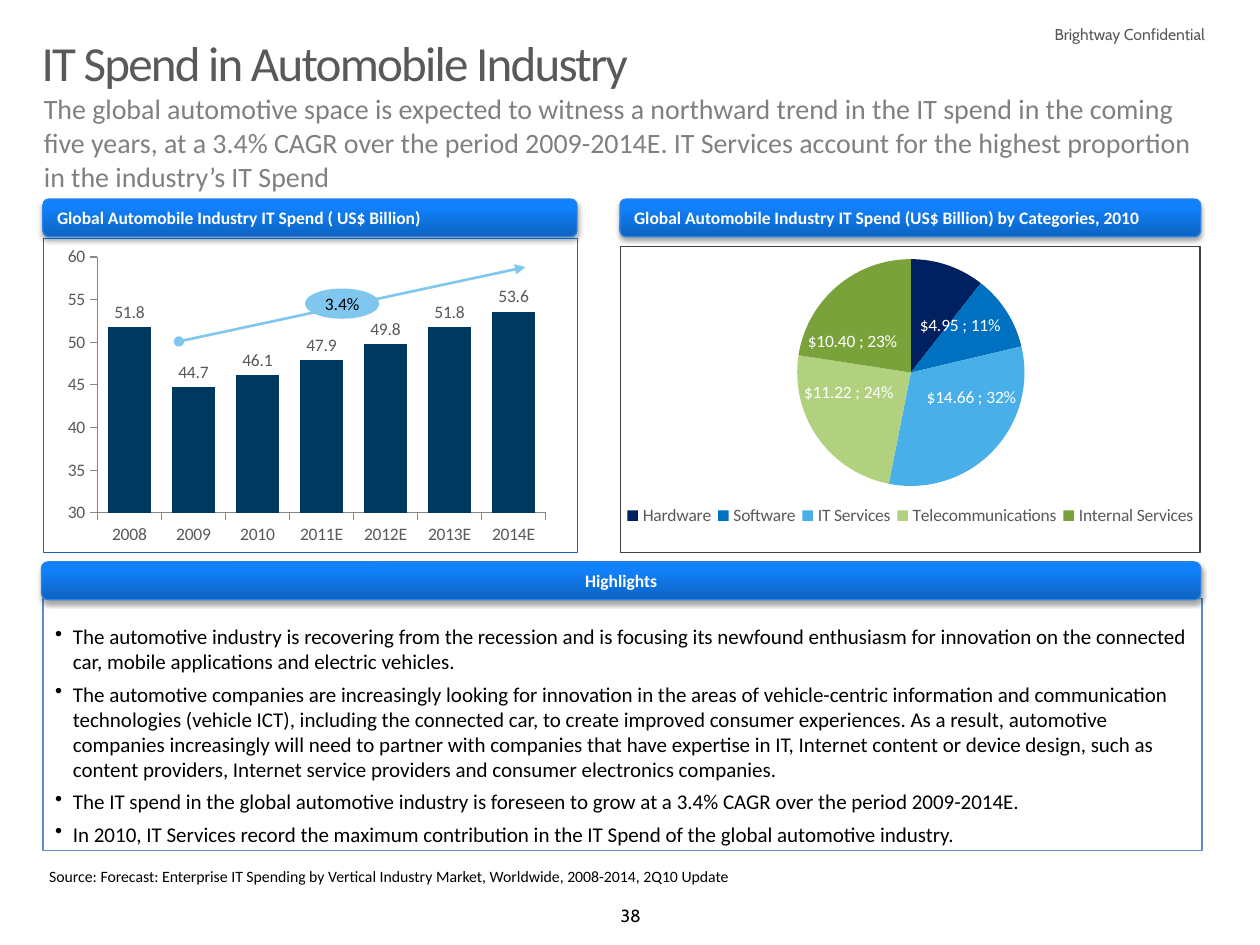
from copy import deepcopy
from pptx import Presentation, util as u
from pptx.chart.data import CategoryChartData
from pptx.dml.color import RGBColor
from pptx.enum import chart as ch, shapes as sh, text as tx
from pptx.oxml import parse_xml
from pptx.oxml.ns import qn

NS = 'xmlns:a="http://schemas.openxmlformats.org/drawingml/2006/main"'
CNS = 'xmlns:c="http://schemas.openxmlformats.org/drawingml/2006/chart"'
SHADE = (f'<a:effectLst {NS}><a:outerShdw blurRad="39370" dist="22860" dir="5400000" '
         'rotWithShape="0"><a:srgbClr val="000000"><a:alpha val="35000"/></a:srgbClr>'
         '</a:outerShdw></a:effectLst>')
LAYOUT = ('<c:layout {}><c:manualLayout>{}<c:xMode val="edge"/><c:yMode val="edge"/>'
          '<c:x val="{}"/><c:y val="{}"/><c:w val="{}"/><c:h val="{}"/>'
          '</c:manualLayout></c:layout>')
hue = RGBColor.from_string
ALIGN = {"l": tx.PP_ALIGN.LEFT, "c": tx.PP_ALIGN.CENTER, "r": tx.PP_ALIGN.RIGHT}

deck = Presentation()
deck.slide_width, deck.slide_height = u.Inches(10), u.Inches(7.5)
slide = deck.slides.add_slide(deck.slide_layouts[6])
parts = slide.shapes


def grid(*cells):
    """Turn columns and rows (100 by 75 on the slide) into lengths."""
    return [int(deck.slide_width * cell / 100) for cell in cells]


def write(shape, lines, size, tint, align="l", font="Calibri", bold=False, inset=(1, .5, 1, .5),
          mid=False, wrap=True, **para):
    frame = shape.text_frame
    frame.word_wrap = wrap
    frame.vertical_anchor = tx.MSO_ANCHOR.MIDDLE if mid else tx.MSO_ANCHOR.TOP
    for side, gap in zip(("left", "top", "right", "bottom"), grid(*inset)):
        setattr(frame, f"margin_{side}", gap)
    frame.text = "\n".join(lines)
    for line in frame.paragraphs:
        line.alignment = ALIGN[align]
        for name, value in para.items():
            setattr(line, name, value)
        face = line.runs[0].font
        face.size, face.name, face.bold = u.Pt(size), font, bold
        face.color.rgb = hue(tint)
    return frame


# Plain text
none = (0, 0, 0, 0)
texts = [
    ((47.5, 71.3, 5.1, 2.7), "38", dict(size=10, tint="000000", align="c", font="Cabin")),
    ((75, 1.5, 21.6, 2.5), "Brightway Confidential",
     dict(size=9, tint="595959", align="r", font="Cabin")),
    ((3.9, 68.8, 77.9, 1.4), "Source: Forecast: Enterprise IT Spending by Vertical Industry "
     "Market, Worldwide, 2008-2014, 2Q10 Update", dict(size=9, tint="000000", inset=none)),
    ((2.5, 6.8, 95, 9.1), "The global automotive space is expected to witness a northward trend "
     "in the IT spend in the coming five years, at a 3.4% CAGR over the period 2009-2014E. IT "
     "Services account for the highest proportion in the industry’s IT Spend",
     dict(size=16, tint="808080", space_before=u.Pt(6))),
    ((3.3, 3.1, 95, 3.3), "IT Spend in Automobile Industry",
     dict(size=28, tint="595959", inset=none, line_spacing=.9)),
]
for cells, words, form in texts:
    frame = write(parts.add_textbox(*grid(*cells)), [words], **form)
frame.paragraphs[0].runs[0].font._element.set("spc", "-100")

# Highlights panel
panel = parts.add_shape(sh.MSO_SHAPE.RECTANGLE, *grid(3.4, 47.5, 92, 20))
panel.shadow.inherit = False
panel.fill.background()
panel.line.color.rgb, panel.line.width = hue("5990CA"), u.Pt(1)
points = [
    "The automotive industry is recovering from the recession and is focusing its newfound "
    "enthusiasm for innovation on the connected car, mobile applications and electric vehicles.",
    "The automotive companies are increasingly looking for innovation in the areas of "
    "vehicle-centric information and communication technologies (vehicle ICT), including the "
    "connected car, to create improved consumer experiences. As a result, automotive companies "
    "increasingly will need to partner with companies that have expertise in IT, Internet content "
    "or device design, such as content providers, Internet service providers and consumer "
    "electronics companies.",
    "The IT spend in the global automotive industry is foreseen to grow at a 3.4% CAGR over the "
    "period 2009-2014E.",
    "In 2010, IT Services record the maximum contribution in the IT Spend of the global "
    "automotive industry.",
]
frame = write(panel, points, 12, "000000", inset=(1, 2, 1, .5),
              space_before=u.Pt(3), space_after=u.Pt(1))
dent = grid(1.4)[0]
for line in frame.paragraphs:
    props = line._p.get_or_add_pPr()
    props.set("marL", str(dent))
    props.set("indent", str(-dent))
    props.append(parse_xml(f'<a:buChar {NS} char="•"/>'))

# Header bars
bars = [
    ((3.4, 15.8, 42.4, 3), "Global Automobile Industry IT Spend ( US$ Billion)", "l"),
    ((49.2, 15.8, 46.1, 3),
     "Global Automobile Industry IT Spend (US$ Billion) by Categories, 2010", "l"),
    ((3.3, 44.6, 92, 3), "Highlights", "c"),
]
for cells, words, align in bars:
    bar = parts.add_shape(sh.MSO_SHAPE.ROUNDED_RECTANGLE, *grid(*cells))
    bar.adjustments[0] = .17
    bar.fill.gradient()
    bar.fill.gradient_angle = 90
    last = bar._element.spPr.findall(".//" + qn("a:gs"))[-1]
    last.addnext(deepcopy(last))
    for stop, (share, tint) in zip(bar.fill.gradient_stops,
                                   [(0, "0D63C1"), (.8, "1181FB"), (1, "0E81FF")]):
        stop.position, stop.color.rgb = share, hue(tint)
    bar.line.color.rgb, bar.line.width = hue("2783E6"), u.Pt(.75)
    bar._element.spPr.append(parse_xml(SHADE))
    write(bar, [words], 10, "FFFFFF", align, bold=True, mid=True)

# Charts
kinds, spots = ch.XL_CHART_TYPE, ch.XL_LABEL_POSITION
plans = [
    (kinds.COLUMN_CLUSTERED, (3.4, 18.9, 42.5, 25), "1564BA", (.101, .058, .839, .816),
     ["2008", "2009", "2010", "2011E", "2012E", "2013E", "2014E"],
     [51.8, 44.7, 46.1, 47.9, 49.8, 51.8, 53.6], ["003860"]),
    (kinds.PIE, (49.2, 19.5, 46.1, 24.4), "404040", (.279, .042, .444, .741),
     ["Hardware", "Software", "IT Services", "Telecommunications", "Internal Services"],
     [4.87, 4.95, 14.66, 11.22, 10.4], ["002060", "0070C0", "49AFE9", "B1D17F", "7AA23A"]),
]
for kind, cells, edge, inner, cats, vals, tints in plans:
    data = CategoryChartData()
    data.categories = cats
    data.add_series("Series 1", vals)
    chart = parts.add_chart(kind, *grid(*cells), data).chart
    pie = kind == kinds.PIE
    chart.has_title, chart.has_legend = False, pie
    chart.font.size, chart.font.name = u.Pt(10), "Calibri"
    chart.font.color.rgb = hue("595959")
    plot = chart.plots[0]
    plot.vary_by_categories = pie
    series = plot.series[0]
    tags = series.data_labels
    tags.show_value, tags.show_percentage = True, pie
    tags.font.size, tags.font.name = u.Pt(10), "Calibri"
    tags.font.color.rgb = hue("FFFFFF" if pie else "595959")
    if pie:
        chart.legend.position = ch.XL_LEGEND_POSITION.BOTTOM
        chart.legend.include_in_layout = False
        chart.legend._element.find(qn("c:legendPos")).addnext(
            parse_xml(LAYOUT.format(CNS, "", 0, .83, 1, .1)))
        tags.position = spots.BEST_FIT
        for spot, (tint, val) in enumerate(zip(tints, vals)):
            point = series.points[spot]
            point.format.fill.solid()
            point.format.fill.fore_color.rgb = hue(tint)
            if spot:
                write(point.data_label, [f"${val:.2f} ; {val / sum(vals):.0%}"], 10, "FFFFFF",
                      "c", inset=none, wrap=False)
                point.data_label.position = spots.INSIDE_END if spot == 1 else spots.BEST_FIT
        tags._element.insert(0, parse_xml(
            f'<c:dLbl {CNS}><c:idx val="0"/><c:delete val="1"/></c:dLbl>'))
    else:
        plot.gap_width = 50
        tags.number_format, tags.number_format_is_linked = "#,##0.0", False
        tags.position = spots.OUTSIDE_END
        series.format.fill.solid()
        series.format.fill.fore_color.rgb = hue(tints[0])
        axis = chart.value_axis
        for name, value in dict(minimum_scale=30, maximum_scale=60, major_unit=5,
                                has_major_gridlines=False).items():
            setattr(axis, name, value)
        axis.tick_labels.number_format = "#,##0"
        axis.tick_labels.number_format_is_linked = False
        for axis in (chart.value_axis, chart.category_axis):
            axis.major_tick_mark = ch.XL_TICK_MARK.OUTSIDE
            axis.format.line.color.rgb = hue("868686")
    area = chart._chartSpace.chart.plotArea
    for old in area.findall(qn("c:layout")):
        area.remove(old)
    area.insert(0, parse_xml(LAYOUT.format(CNS, '<c:layoutTarget val="inner"/>', *inner)))
    chart._chartSpace.chart.addnext(parse_xml(
        f'<c:spPr {CNS} {NS}><a:noFill/><a:ln w="9525"><a:solidFill><a:srgbClr val="{edge}"/>'
        '</a:solidFill></a:ln></c:spPr>'))

# Growth arrow
arrow = parts.add_connector(sh.MSO_CONNECTOR.STRAIGHT, *grid(14.2, 27.1, 41.7, 21.2))
arrow.line.color.rgb, arrow.line.width = hue("80C7F0"), u.Pt(1.5)
for end, tip in (("head", "oval"), ("tail", "triangle")):
    arrow.line._ln.append(parse_xml(f'<a:{end}End {NS} type="{tip}"/>'))
arrow._element.spPr.append(parse_xml(f"<a:effectLst {NS}/>"))
rate = parts.add_shape(sh.MSO_SHAPE.OVAL, *grid(24.2, 22.9, 5.9, 2.4))
rate.shadow.inherit = False
rate.fill.solid()
rate.fill.fore_color.rgb = hue("80C7F0")
rate.line.fill.background()
write(rate, ["3.4%"], 10, "000000", "c", mid=True, wrap=False)

deck.save("out.pptx")
